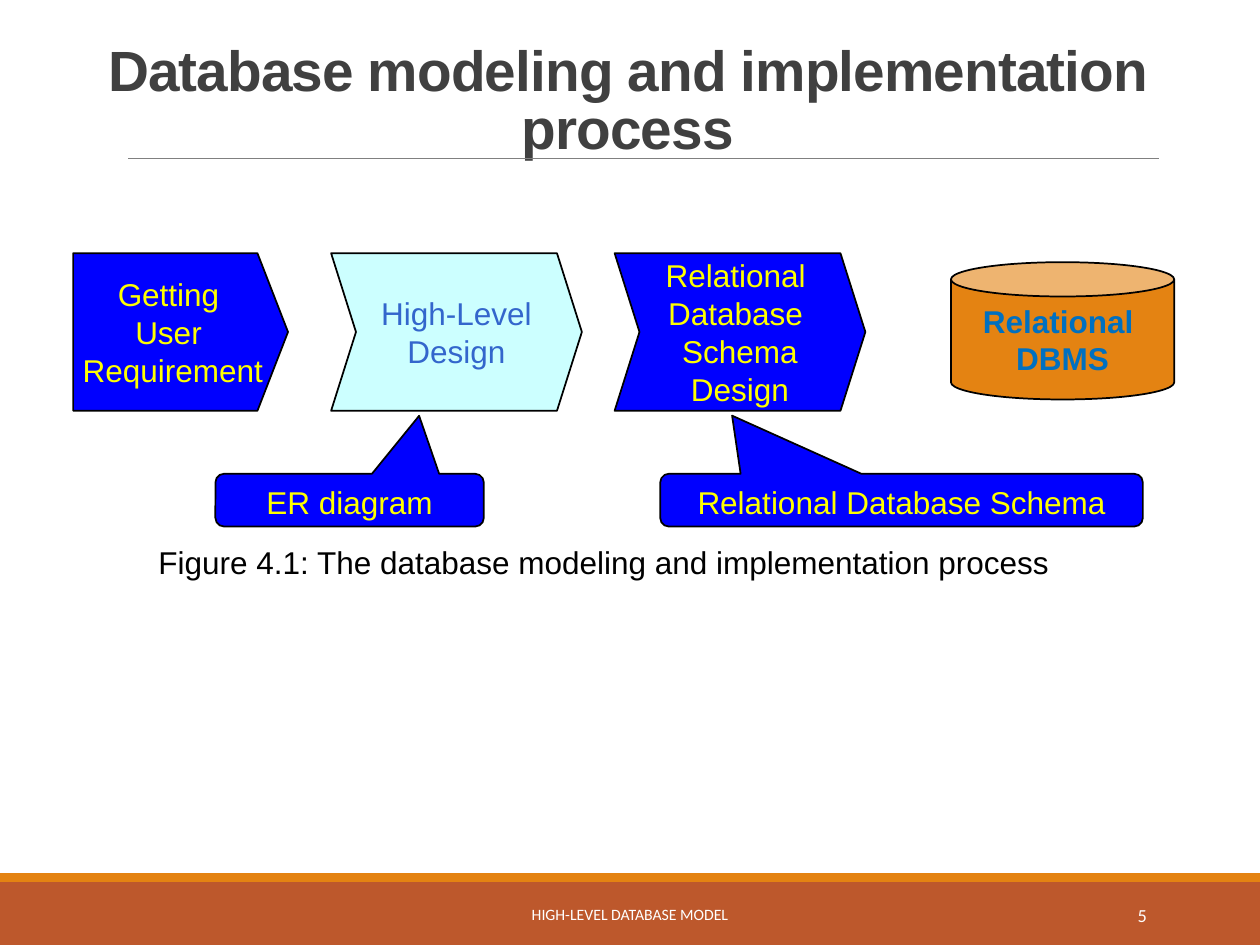
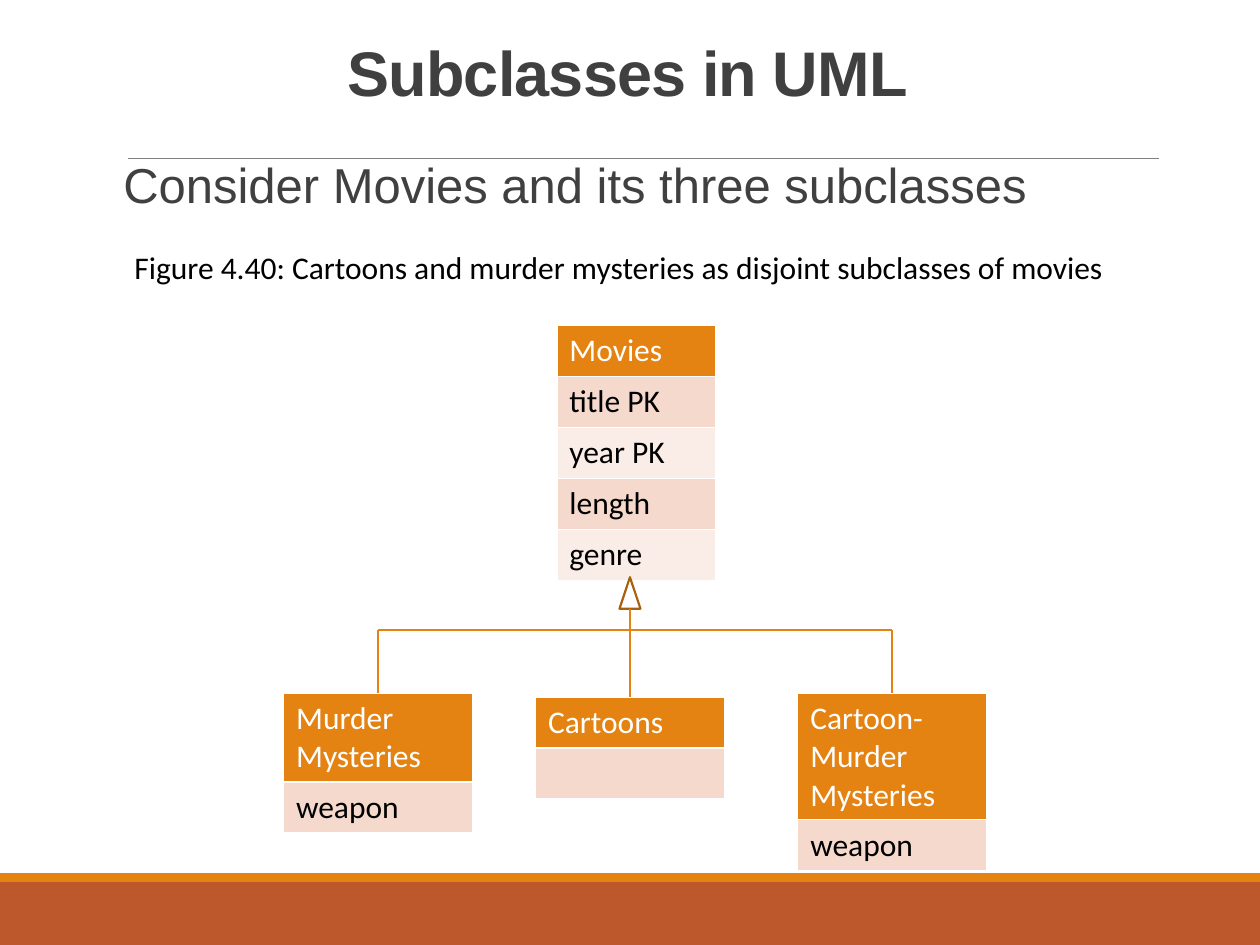
from lxml import etree
from pptx import Presentation
from pptx.dml.color import RGBColor
from pptx.enum.shapes import MSO_CONNECTOR, MSO_SHAPE
from pptx.enum.text import MSO_ANCHOR, MSO_AUTO_SIZE, PP_ALIGN
from pptx.oxml.ns import qn
from pptx.util import Pt

LEFT, CENTER, RIGHT = PP_ALIGN.LEFT, PP_ALIGN.CENTER, PP_ALIGN.RIGHT
TOP, MIDDLE = MSO_ANCHOR.TOP, MSO_ANCHOR.MIDDLE
RECTANGLE, TRIANGLE = MSO_SHAPE.RECTANGLE, MSO_SHAPE.ISOSCELES_TRIANGLE
PENTAGON, CHEVRON, CAN = MSO_SHAPE.PENTAGON, MSO_SHAPE.CHEVRON, MSO_SHAPE.CAN
CALLOUT = MSO_SHAPE.ROUNDED_RECTANGULAR_CALLOUT
STRAIGHT = MSO_CONNECTOR.STRAIGHT
NO_FIT, FIT_SHAPE = MSO_AUTO_SIZE.NONE, MSO_AUTO_SIZE.SHAPE_TO_FIT_TEXT

TITLE_ONLY = 5
WIDTH, HEIGHT = 720, 540
COLORS = {
    "white": "FFFFFF", "black": "000000", "ink": "404040", "rule": "808080",
    "rust": "BD582C", "orange": "E48312", "brown": "A9610D",
    "row_dark": "F5D9CC", "row_light": "FAEDE7",
    "blue": "0000FF", "yellow": "FFFF00", "ice": "CCFFFF",
    "steel": "3366CC", "azure": "0070C0",
}


def rgb(name):
    return RGBColor.from_string(COLORS[name])


class Deck:
    def __init__(self):
        self.prs = Presentation()
        self.prs.slide_width, self.prs.slide_height = Pt(WIDTH), Pt(HEIGHT)
        self.slide = None

    def new_slide(self, title, size):
        self.slide = self.prs.slides.add_slide(self.prs.slide_layouts[TITLE_ONLY])
        self.shape(RECTANGLE, (0, 504, WIDTH, 36), "rust")
        self.shape(RECTANGLE, (0, 499, WIDTH, 5), "orange")
        self.line((73.4, 90.7), (662.4, 90.7), "rule", 0.5)
        heading = self.slide.shapes.title
        heading.left, heading.top, heading.width, heading.height = map(Pt, (46.1, 22.3, 625, 66.2))
        frame = heading.text_frame
        frame.auto_size = NO_FIT
        self.fill_text(frame, [title], size, "ink", bold=True, align=CENTER, spacing=0.85)
        frame.paragraphs[0].runs[0].font._element.set("spc", "-50")

    def fill_text(self, frame, lines, size, color, font="Arial", bold=False,
                  align=LEFT, anchor=TOP, spacing=None):
        frame.vertical_anchor = anchor
        for index, line in enumerate(lines):
            paragraph = frame.add_paragraph() if index else frame.paragraphs[0]
            paragraph.alignment = align
            if spacing:
                paragraph.line_spacing = spacing
            run = paragraph.add_run()
            run.text = line
            run.font.name, run.font.size, run.font.bold = font, Pt(size), bold
            run.font.color.rgb = rgb(color)

    def text(self, box, line, size, color, wrap=True, **style):
        label = self.slide.shapes.add_textbox(*map(Pt, box))
        label.text_frame.word_wrap = wrap
        label.text_frame.auto_size = NO_FIT if wrap else FIT_SHAPE
        self.fill_text(label.text_frame, [line], size, color, **style)

    def shape(self, kind, box, fill=None, outline=None, weight=1, adjust=()):
        item = self.slide.shapes.add_shape(kind, *map(Pt, box))
        item.shadow.inherit = False
        if fill:
            item.fill.solid()
            item.fill.fore_color.rgb = rgb(fill)
        else:
            item.fill.background()
        if outline:
            item.line.color.rgb = rgb(outline)
            item.line.width = Pt(weight)
        else:
            item.line.fill.background()
        for index, value in enumerate(adjust):
            item.adjustments[index] = value
        return item

    def step(self, kind, box, lines, fill, color, adjust, bold=False):
        item = self.shape(kind, box, fill, "black", adjust=[adjust])
        item.text_frame.word_wrap = False
        self.fill_text(item.text_frame, lines, 18, color, bold=bold, align=CENTER, anchor=MIDDLE)

    def callout(self, left, width, line, tip):
        item = self.shape(CALLOUT, (left, 270.7, width, 30.2), "blue", "black",
                          adjust=(*tip, 0.167))
        self.fill_text(item.text_frame, [line], 18, "yellow", align=CENTER)

    def line(self, start, end, color, weight=1):
        connector = self.slide.shapes.add_connector(STRAIGHT, *map(Pt, (*start, *end)))
        connector.line.color.rgb = rgb(color)
        connector.line.width = Pt(weight)
        etree.SubElement(connector._element.spPr, qn("a:effectLst"))

    def uml_class(self, left, top, width, name, attributes, name_lines=1):
        heights = [7.6 + 21.6 * name_lines] + [29.2] * len(attributes)
        table = self.slide.shapes.add_table(
            len(heights), 1, *map(Pt, (left, top, width, sum(heights)))).table
        for index, (height, entry) in enumerate(zip(heights, [name, *attributes])):
            table.rows[index].height = Pt(height)
            cell = table.cell(index, 0)
            cell.fill.solid()
            band = "row_dark" if index % 2 else "row_light"
            cell.fill.fore_color.rgb = rgb(band if index else "orange")
            if entry:
                self.fill_text(cell.text_frame, [entry], 18, "black" if index else "white",
                               font="Calibri")

    def footer(self, label, number):
        self.text((217.4, 508.3, 285.1, 28.8), label, 9, "white",
                  font="Calibri", align=CENTER, anchor=MIDDLE)
        self.text((584.6, 508.3, 77.8, 28.8), number, 10.5, "white",
                  font="Calibri", align=RIGHT, anchor=MIDDLE)


def modeling_process(deck):
    deck.new_slide("Database modeling and implementation process", 32.4)
    deck.footer("HIGH-LEVEL DATABASE MODEL", "5")
    top, height = 144.7, 90
    deck.step(PENTAGON, (41.8, top, 122.8, height), ["Getting ", "User ", "Requirement"],
              "blue", "yellow", 0.194)
    deck.step(CHEVRON, (189.2, top, 143.3, height), ["High-Level", "Design"],
              "ice", "steel", 0.158)
    deck.step(CHEVRON, (351.2, top, 143.3, height),
              ["Relational ", "Database ", "Schema", "Design"], "blue", "yellow", 0.158)
    deck.callout(123.1, 153.4, "ER diagram", (0.259, -1.597))
    deck.callout(377.3, 275.8, "Relational Database Schema", (-0.351, -1.6))
    deck.step(CAN, (543.4, 149.8, 127.6, 78.5), ["Relational ", "DBMS"],
              "orange", "azure", 0.25, bold=True)
    deck.text((83.5, 306.7, 523.4, 28.8),
              "Figure 4.1: The database modeling and implementation process",
              18, "black", wrap=False)


def uml_subclasses(deck):
    deck.new_slide("Subclasses in UML", 36)
    deck.text((63.4, 88.6, 625, 50), "Consider Movies and its three subclasses",
              28, "ink", spacing=0.9)
    deck.text((69.8, 138.2, 628.6, 28.8),
              "Figure 4.40: Cartoons and murder mysteries as disjoint subclasses of movies",
              18, "black", wrap=False, font="Calibri")
    deck.uml_class(318.2, 185.8, 90.7, "Movies", ["title PK", "year PK", "length", "genre"])

    subclass_width = 108
    subclasses = [
        (216, 396, "Murder Mysteries", ["weapon"], 2),
        (360, 398.2, "Cartoons", [""], 1),
        (509.8, 396, "Cartoon-Murder Mysteries", ["weapon"], 3),
    ]
    for center, top, name, attributes, name_lines in subclasses:
        deck.uml_class(center - subclass_width / 2, top, subclass_width,
                       name, attributes, name_lines)

    murder, cartoons, both = [subclass[0] for subclass in subclasses]
    branch = 360
    deck.shape(TRIANGLE, (cartoons - 6, 329.8, 12, 18), outline="brown", weight=1.25)
    deck.line((cartoons, 347.8), (cartoons, 398.2), "orange")
    deck.line((murder, branch), (both, branch), "orange")
    for center in (murder, both):
        deck.line((center, branch), (center, 396), "orange")


def main():
    deck = Deck()
    modeling_process(deck)
    uml_subclasses(deck)
    deck.prs.save("out.pptx")


if __name__ == "__main__":
    main()
